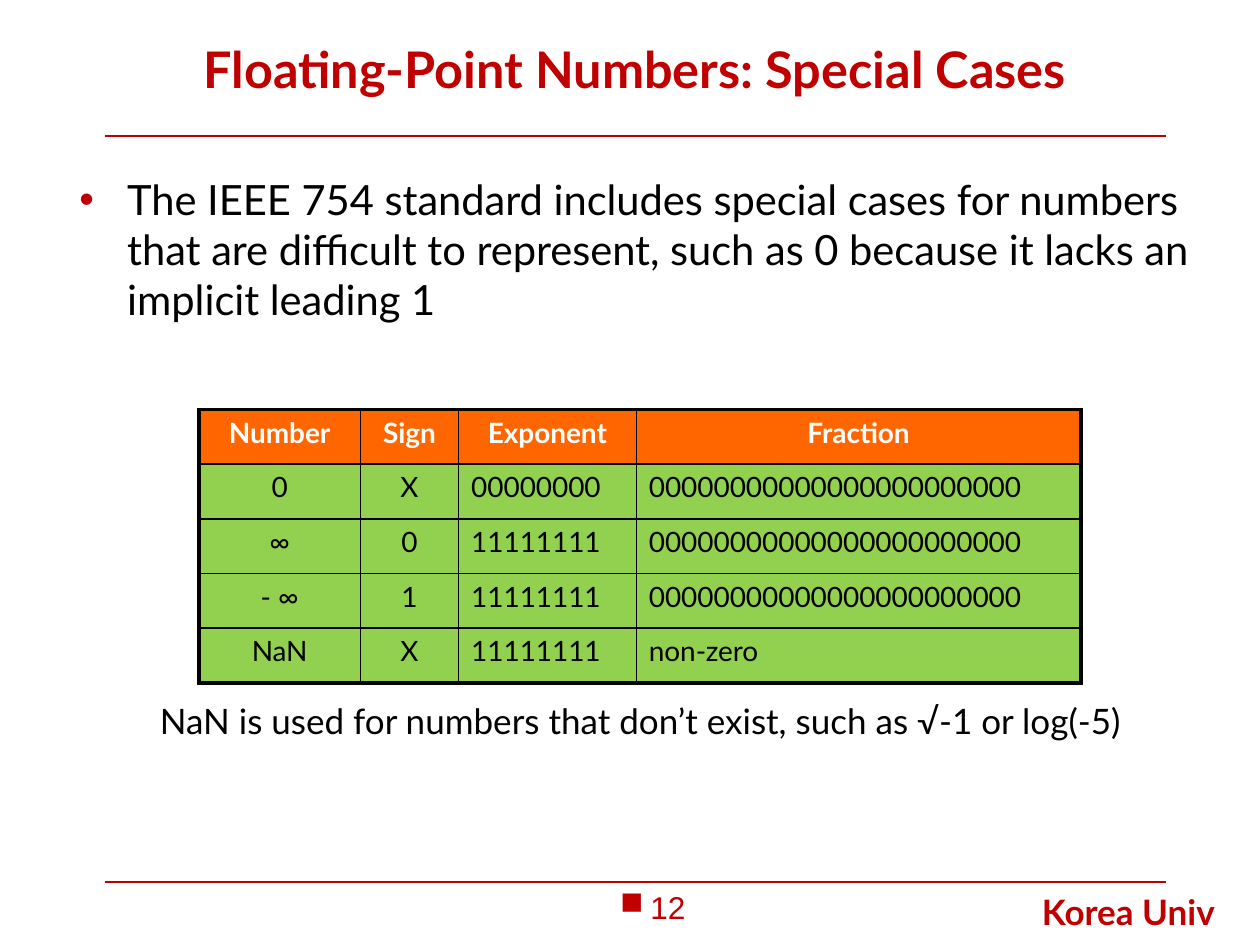
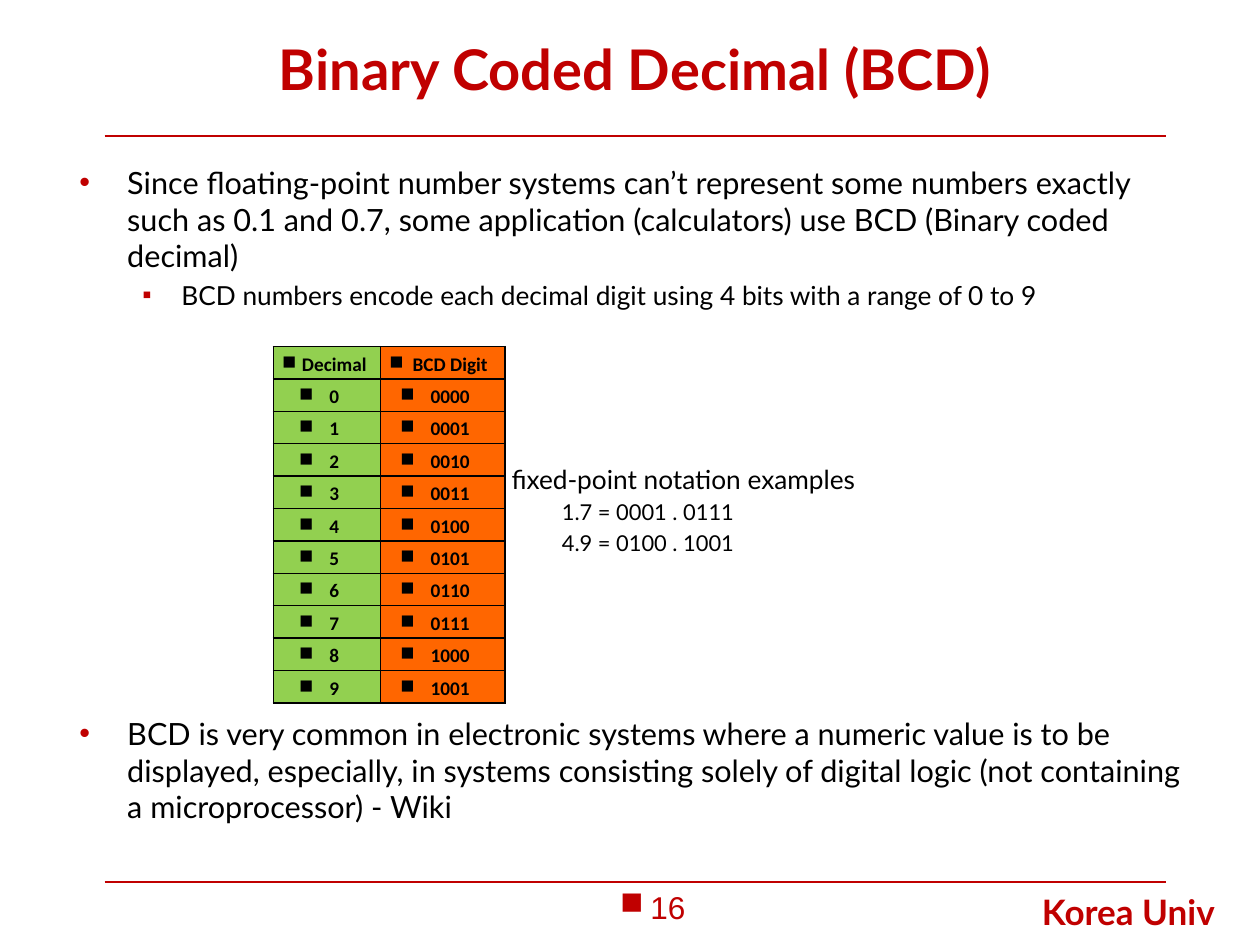
from lxml import etree
from pptx import Presentation
from pptx.dml.color import RGBColor
from pptx.enum.shapes import MSO_CONNECTOR
from pptx.enum.text import MSO_ANCHOR, MSO_AUTO_SIZE, PP_ALIGN
from pptx.oxml.ns import qn
from pptx.util import Inches, Pt

LEFT, CENTER = PP_ALIGN.LEFT, PP_ALIGN.CENTER
TOP, MIDDLE = MSO_ANCHOR.TOP, MSO_ANCHOR.MIDDLE
STRAIGHT = MSO_CONNECTOR.STRAIGHT
NO_AUTOFIT = MSO_AUTO_SIZE.NONE

# Shared look
RED, BLACK, WHITE = "C00000", "000000", "FFFFFF"
ORANGE, GREEN = "FF6600", "92D050"
FONT, TABLE_FONT, NUMBER_FONT = "Lato", "Calibri", "Arial"
SQUARE, SQUARE_FONT, SQUARE_INDENT = "n", "Wingdings", (0, -0.24)
RULE_LEFT, RULE_RIGHT, RULE_YS = 0.83, 9.25, (1.08, 7)
TITLE_BOX = (0.83, 0.08, 8.42, 0.92)
FOOTER_BOX = (8.17, 7.02, 1.74, 0.44)
NUMBER_BOX = (4.33, 7, 1.75, 0.5)
FOOTER = "Korea Univ"

# Special cases: content
SPECIAL_TITLE = "Floating-Point Numbers: Special Cases"
SPECIAL_BODY = [
    dict(text="The IEEE 754 standard includes special cases for numbers that are "
              "difficult to represent, such as 0 because it lacks an implicit leading 1",
         size=23.8, indent=(0.38, -0.38), bullet="•"),
]
SPECIAL_ROWS = [
    ("Number", "Sign", "Exponent", "Fraction"),
    ("0", "X", "0" * 8, "0" * 23),
    ("∞", "0", "1" * 8, "0" * 23),
    ("- ∞", "1", "1" * 8, "0" * 23),
    ("NaN", "X", "1" * 8, "non-zero"),
]
NAN_NOTE = "NaN is used for numbers that don’t exist, such as √-1 or log(-5)"

# Binary coded decimal: content (before = space above, in points)
BCD_TITLE = "Binary Coded Decimal (BCD)"
BCD_BODY = [
    dict(text="Since floating-point number systems can’t represent some numbers exactly "
              "such as 0.1 and 0.7, some application (calculators) use BCD "
              "(Binary coded decimal)",
         size=17.5, indent=(0.38, -0.38), bullet="•"),
    dict(text="BCD numbers encode each decimal digit using 4 bits with a range of 0 to 9",
         size=15, level=1, indent=(0.81, -0.31), bullet="▪", before=3),
    dict(text="fixed-point notation examples",
         size=15, level=1, indent=(3.43, 0), before=87),
    dict(text="1.7 = 0001 . 0111", size=12.5, level=2, indent=(3.83, 0), before=2.5),
    dict(text="4.9 = 0100 . 1001", size=12.5, level=2, indent=(3.83, 0), before=2.5),
    dict(text="BCD is very common in electronic systems where a numeric value is to be "
              "displayed, especially, in systems consisting solely of digital logic "
              "(not containing a microprocessor) - Wiki",
         size=17.5, indent=(0.38, -0.38), bullet="•", before=91),
]
BCD_ROWS = [("Decimal", "BCD Digit")] + [(str(n), f"{n:04b}") for n in range(10)]


def rgb(color):
    return RGBColor.from_string(color)


def box(values):
    return [Inches(v) for v in values]


def set_bullet(p, char, color, indent, font=NUMBER_FONT):
    """Set left margin, first-line indent and bullet; no char means no bullet."""
    pPr = p._p.get_or_add_pPr()
    pPr.set("marL", str(Inches(indent[0])))
    pPr.set("indent", str(Inches(indent[1])))
    if char is None:
        etree.SubElement(pPr, qn("a:buNone"))
        return
    fill = etree.SubElement(pPr, qn("a:buClr"))
    etree.SubElement(fill, qn("a:srgbClr"), val=color)
    etree.SubElement(pPr, qn("a:buFont"), typeface=font)
    etree.SubElement(pPr, qn("a:buChar"), char=char)


def set_square(p, color):
    set_bullet(p, SQUARE, color, SQUARE_INDENT, SQUARE_FONT)


def write(p, text, size, color=BLACK, bold=False, font=FONT, align=LEFT, before=0):
    p.text = text
    p.alignment = align
    p.space_before = Pt(before)
    for r in p.runs:
        r.font.size, r.font.bold, r.font.name = Pt(size), bold, font
        r.font.color.rgb = rgb(color)


def add_text(s, place, text, size, wrap=True, **style):
    tf = s.shapes.add_textbox(*box(place)).text_frame
    tf.word_wrap = wrap
    write(tf.paragraphs[0], text, size, **style)
    return tf.paragraphs[0]


def place_frame(sp, place, anchor):
    sp.left, sp.top, sp.width, sp.height = box(place)
    tf = sp.text_frame
    tf.word_wrap, tf.auto_size, tf.vertical_anchor = True, NO_AUTOFIT, anchor
    return tf


def add_slide(prs, title, title_size, number, body, body_box):
    s = prs.slides.add_slide(prs.slide_layouts[1])
    # Rules and footer
    for y in RULE_YS:
        line = s.shapes.add_connector(
            STRAIGHT, *box((RULE_LEFT, y, RULE_RIGHT, y)))
        line.line.color.rgb, line.line.width = rgb(RED), Pt(1.5)
        etree.SubElement(line._element.spPr, qn("a:effectLst"))
    add_text(s, FOOTER_BOX, FOOTER, 20, wrap=False, color=RED, bold=True)
    p = add_text(s, NUMBER_BOX, number, 18, color=RED, font=NUMBER_FONT, align=CENTER)
    set_square(p, RED)
    # Title
    tf = place_frame(s.shapes.title, TITLE_BOX, MIDDLE)
    write(tf.paragraphs[0], title, title_size, RED, bold=True, align=CENTER)
    # Body list
    tf = place_frame(s.placeholders[1], body_box, TOP)
    for i, item in enumerate(body):
        p = tf.paragraphs[0] if i == 0 else tf.add_paragraph()
        p.level = item.get("level", 0)
        write(p, item["text"], item["size"], before=item.get("before", 0))
        set_bullet(p, item.get("bullet"), RED, item["indent"])
    return s


def set_borders(cell, widths):
    """Draw black borders; widths are left, right, top, bottom in points."""
    tcPr = cell._tc.get_or_add_tcPr()
    for i, (side, width) in enumerate(zip("LRTB", widths)):
        ln = etree.Element(qn(f"a:ln{side}"), w=str(Pt(width)))
        fill = etree.SubElement(ln, qn("a:solidFill"))
        etree.SubElement(fill, qn("a:srgbClr"), val=BLACK)
        tcPr.insert(i, ln)


def add_table(s, rows, left, top, col_widths, height, outer, style_cell):
    n, m = len(rows), len(col_widths)
    place = box((left, top, sum(col_widths), height))
    table = s.shapes.add_table(n, m, *place).table
    table.first_row = table.horz_banding = False
    for col, width in zip(table.columns, col_widths):
        col.width = Inches(width)
    for i, row in enumerate(rows):
        table.rows[i].height = Inches(height / n)
        for j, text in enumerate(row):
            cell = table.cell(i, j)
            fill = style_cell(cell, text, i, j)
            cell.fill.solid()
            cell.fill.fore_color.rgb = rgb(fill)
            edges = (j == 0, j == m - 1, i == 0, i == n - 1)
            set_borders(cell, [outer if edge else 1 for edge in edges])


def style_special(cell, text, i, j):
    header = i == 0
    write(cell.text_frame.paragraphs[0], text, 16, WHITE if header else BLACK,
          bold=header, align=CENTER if header or j < 2 else LEFT)
    return ORANGE if header else GREEN


def style_bcd(cell, text, i, j):
    cell.vertical_anchor = MIDDLE
    cell.margin_left = cell.margin_right = Inches(0.07)
    cell.margin_top = cell.margin_bottom = 0
    p = cell.text_frame.paragraphs[0]
    write(p, text, 11, bold=True, font=TABLE_FONT, align=CENTER)
    p.line_spacing = 1.15
    set_square(p, BLACK)
    return (GREEN, ORANGE)[j]


def main():
    prs = Presentation()
    prs.slide_width, prs.slide_height = Inches(10), Inches(7.5)

    # Special cases
    s = add_slide(prs, SPECIAL_TITLE, 28.8, "12", SPECIAL_BODY, (0.53, 1.33, 9.14, 1.33))
    add_table(s, SPECIAL_ROWS, 1.58, 3.25, (1.28, 0.78, 1.41, 3.53), 2.17, 2.25,
              style_special)
    p = add_text(s, (0.67, 5.5, 8.67, 0.44), NAN_NOTE, 20)
    set_bullet(p, None, BLACK, (0.5, 0))

    # Binary coded decimal
    s = add_slide(prs, BCD_TITLE, 32, "16", BCD_BODY, (0.53, 1.25, 9, 5.83))
    add_table(s, BCD_ROWS, 2.17, 2.75, (0.85, 0.99), 2.83, 1, style_bcd)

    prs.save("out.pptx")


if __name__ == "__main__":
    main()
